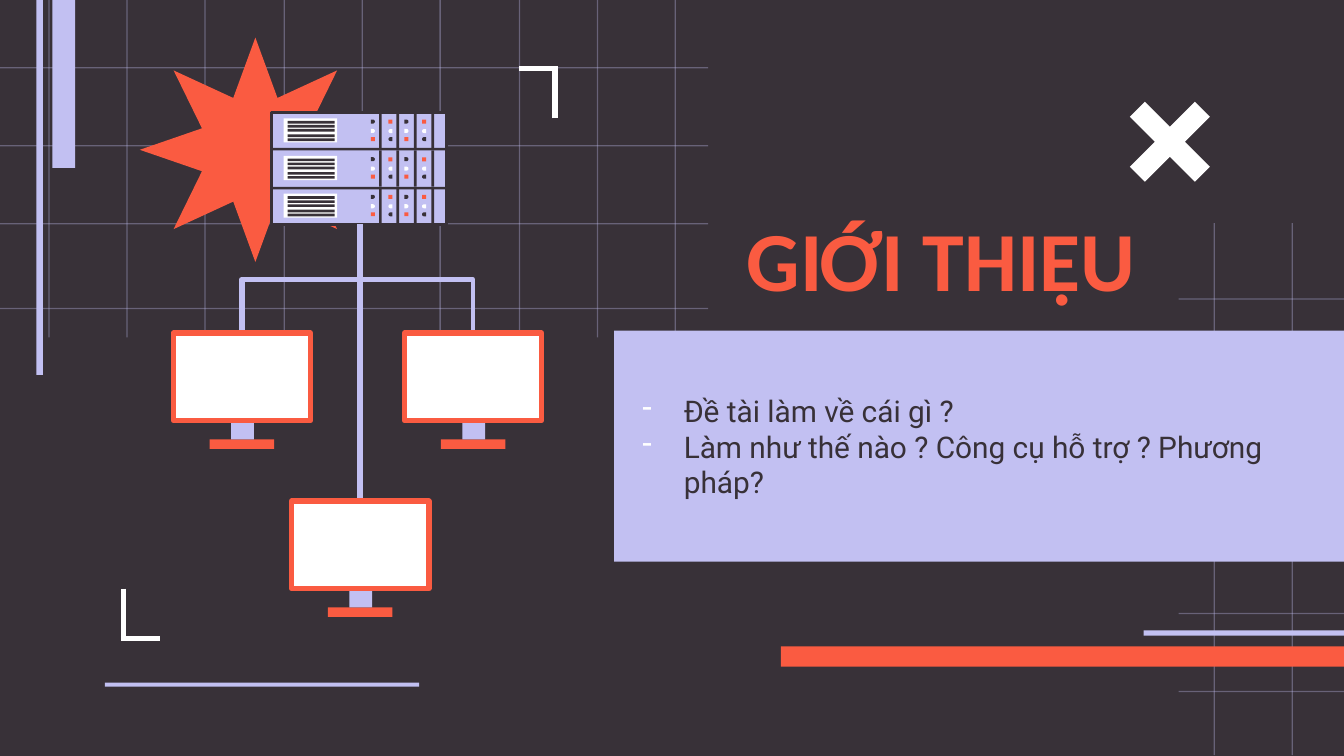
import lxml.etree
import pptx
import pptx.dml.color
import pptx.enum.shapes
import pptx.enum.text
import pptx.oxml.ns
import pptx.util

PX = 9144  # EMU in one px, 100 px to the inch
COLOURS = {"dark": "383138", "lavender": "C2C0F2", "orange": "FA5B41", "white": "FFFFFF"}
SHAPES = pptx.enum.shapes.MSO_SHAPE
CONNECTORS = pptx.enum.shapes.MSO_CONNECTOR
qn = pptx.oxml.ns.qn


def emu(*lengths):
    return [round(length) * PX for length in lengths]


def colour(name):
    return pptx.dml.color.RGBColor.from_string(COLOURS[name])


def add_block(page, left, top, width, height, fill, kind=SHAPES.RECTANGLE, outline=None, weight=0):
    block = page.shapes.add_shape(kind, *emu(left, top, width, height))
    block.shadow.inherit = False
    block.fill.solid()
    block.fill.fore_color.rgb = colour(fill)
    if outline:
        block.line.color.rgb = colour(outline)
        block.line.width = pptx.util.Pt(weight)
    else:
        block.line.fill.background()
    return block


def add_line(page, kind, start, end, ink, weight):
    line = page.shapes.add_connector(kind, *emu(*start, *end))
    line.line.color.rgb = colour(ink)
    line.line.width = pptx.util.Pt(weight)
    lxml.etree.SubElement(line.element.spPr, qn("a:effectLst"))
    return line


def add_grid(page, left, top, width, height, columns, rows):
    """Draw hairlines at the given offsets across the box."""
    hairlines = [(left + x, top, 1, height) for x in columns]
    hairlines += [(left, top + y, width, 1) for y in rows]
    for hairline in hairlines:
        block = add_block(page, *hairline, "lavender")
        ink = block.element.spPr.find(".//" + qn("a:srgbClr"))
        lxml.etree.SubElement(ink, qn("a:alpha"), val="35000")


def add_backdrop(page):
    page.background.fill.solid()
    page.background.fill.fore_color.rgb = colour("dark")
    add_grid(page, 877, 166, 123, 396, (26, 84), [56 + 58.4 * i for i in range(6)])
    add_grid(page, 0, 0, 527, 251, [36 + 58.25 * i for i in range(9)], (50, 108, 166, 229))
    add_block(page, 581, 481, 419, 15, "orange")
    for bar in ((851, 469, 149, 4), (78, 508, 234, 3), (39, 0, 17, 125), (27, 0, 5, 279)):
        add_block(page, *bar, "lavender")


def add_corner(page, x, y, across, down):
    """Draw a corner mark at x, y with arms of the given signed lengths."""
    overlap = 2 if across < 0 else -2
    add_line(page, CONNECTORS.STRAIGHT, (x, y + down), (x, y), "white", 3)
    add_line(page, CONNECTORS.STRAIGHT, (x + overlap, y), (x + across, y), "white", 3)


def add_link(page, root, leaf, weight):
    """Draw an elbow that leaves root downwards and enters leaf from above."""
    across, drop = leaf[0] - root[0], leaf[1] - root[1]
    middle_x, middle_y = (root[0] + leaf[0]) / 2, (root[1] + leaf[1]) / 2
    # The elbow is laid out sideways and then turned to run downwards.
    side = -1 if across < 0 else 1
    start = (middle_x + side * drop / 2, middle_y - abs(across) / 2)
    end = (middle_x - side * drop / 2, middle_y + abs(across) / 2)
    link = add_line(page, CONNECTORS.ELBOW, start, end, "lavender", weight)
    angle = 90 if across < 0 else 270
    link.element.spPr.find(qn("a:xfrm")).set("rot", str(angle * 60000))


def add_lights(page, left, top, flipped):
    lights = [("dark", SHAPES.FLOWCHART_DELAY), ("white", SHAPES.FLOWCHART_DELAY),
              ("orange", SHAPES.RECTANGLE)]
    if flipped:
        lights.reverse()
    for index, (fill, kind) in enumerate(lights):
        light = add_block(page, left, top + 6.5 * index, 3, 3, fill, kind)
        light.rotation = 180 if flipped else 0


def add_server_unit(page, left, top):
    add_block(page, left + 9, top + 4, 40, 18, "white")
    for index in range(5):
        add_block(page, left + 12, top + 6 + 3.25 * index, 35, 2, "dark")
    for index in range(4):
        add_lights(page, left + 74 + 12.67 * index, top + 5, index % 2 == 1)
        add_block(page, left + 80 + 13 * index, top, 2, 27, "dark")


def add_server(page, left, top):
    add_block(page, left, top, 130, 83, "lavender", outline="dark", weight=1.5)
    for index in range(3):
        add_server_unit(page, left, top + 28 * index)
    for shelf in (26, 55):
        add_block(page, left + 1, top + shelf, 130, 2, "dark")


def add_monitor(page, left, top):
    add_block(page, left + 27, top + 79, 48, 7, "orange")
    add_block(page, left + 43, top + 65, 17, 14, "lavender")
    add_block(page, left, top, 102, 65, "white", outline="orange", weight=3)


def add_network(page, left, top):
    star = add_block(page, left, top, 172, 167, "orange", SHAPES.STAR_8_POINT)
    star.adjustments[0] = 0.25
    root = (left + 164, top + 139)
    add_link(page, root, (left + 76, top + 220), 3)
    add_link(page, root, (left + 248, top + 220), 2.25)
    add_server(page, left + 98, top + 56)
    add_link(page, root, (left + 164, top + 345), 3)
    for x, y in ((25, 220), (197, 220), (113, 345)):
        add_monitor(page, left + x, top + y)


def add_text(page, left, top, width, height, lines, font, size, ink, bold=False):
    box = page.shapes.add_textbox(*emu(left, top, width, height))
    frame = box.text_frame
    frame.word_wrap = True
    frame.vertical_anchor = pptx.enum.text.MSO_ANCHOR.MIDDLE
    frame.margin_left = frame.margin_right = frame.margin_top = frame.margin_bottom = 10 * PX
    frame.text = "\n".join(lines)
    for para in frame.paragraphs:
        para.font.name = font
        para.font.size = pptx.util.Pt(size)
        para.font.bold = bold
        para.font.color.rgb = colour(ink)
    return frame


def add_dash(para):
    properties = para._p.get_or_add_pPr()
    properties.set("marL", str(31 * PX))
    properties.set("indent", str(-31 * PX))
    bullet_ink = lxml.etree.Element(qn("a:buClr"))
    lxml.etree.SubElement(bullet_ink, qn("a:srgbClr"), val=COLOURS["white"])
    bullet = lxml.etree.Element(qn("a:buChar"), char="-")
    properties.insert(0, bullet_ink)
    properties.insert(1, bullet)


def add_questions(page, left, top, width, height):
    add_block(page, left, top, width, height, "lavender")
    lines = ["Đề tài làm về cái gì ?", "Làm như thế nào ? Công cụ hỗ trợ ? Phương pháp?"]
    frame = add_text(page, left + 11, top + 11, 533, 150, lines, "Roboto", 16, "dark")
    for para in frame.paragraphs:
        add_dash(para)


def build_intro_slide(deck):
    page = deck.slides.add_slide(deck.slide_layouts[6])
    add_backdrop(page)
    add_questions(page, 457, 246, 543, 172)
    cross = add_block(page, 824, 59, 93, 93, "white", SHAPES.MATH_MULTIPLY)
    cross.adjustments[0] = 0.17
    add_corner(page, 413, 51, -27, 37)
    add_corner(page, 92, 475, 27, -37)
    add_network(page, 104, 28)
    add_text(page, 546, 152, 367, 79, ["GIỚI THIỆU"], "Calibri", 45, "orange", bold=True)


def main():
    deck = pptx.Presentation()
    deck.slide_width = 1000 * PX
    deck.slide_height = pptx.util.Pt(405)
    build_intro_slide(deck)
    deck.save("out.pptx")


if __name__ == "__main__":
    main()
